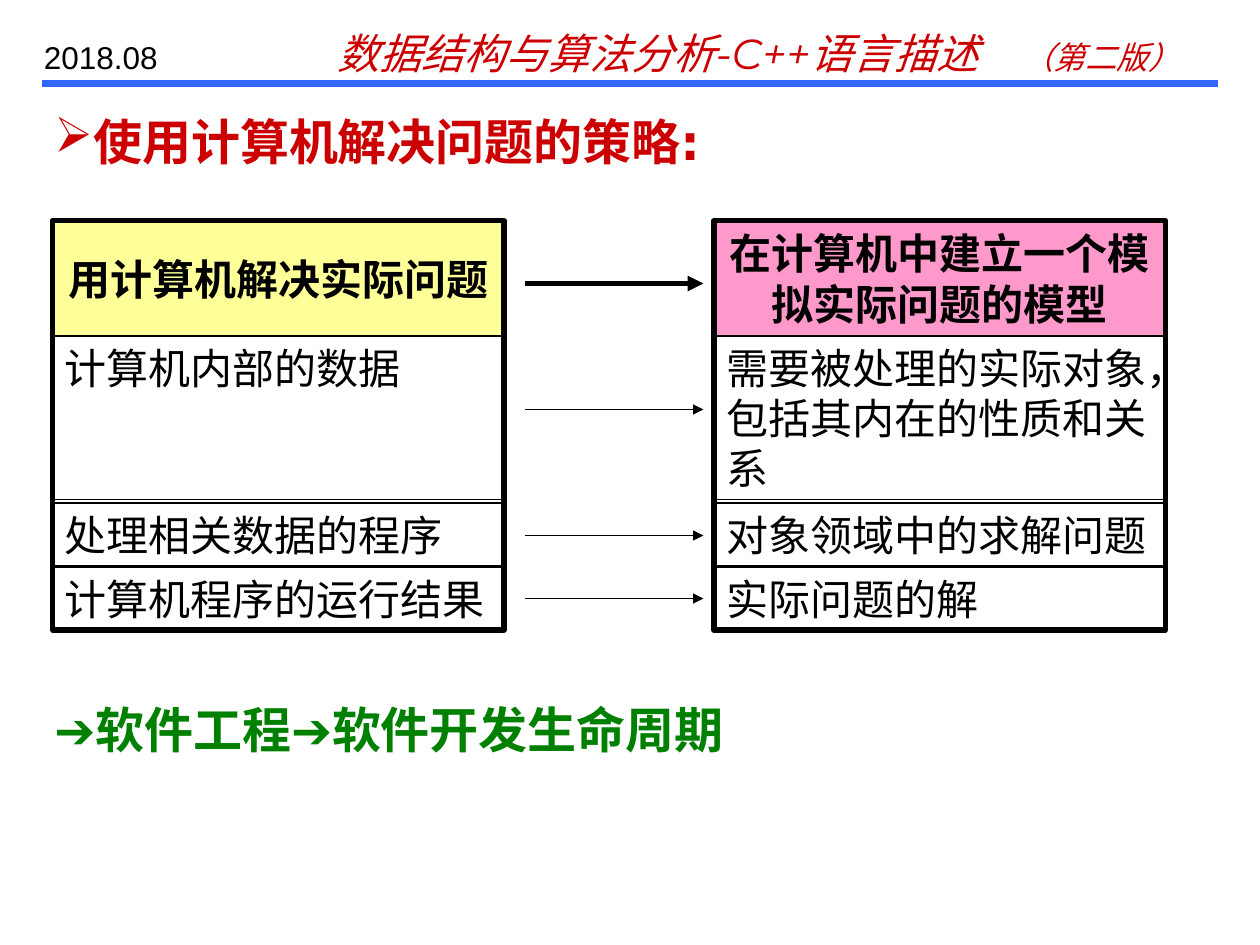
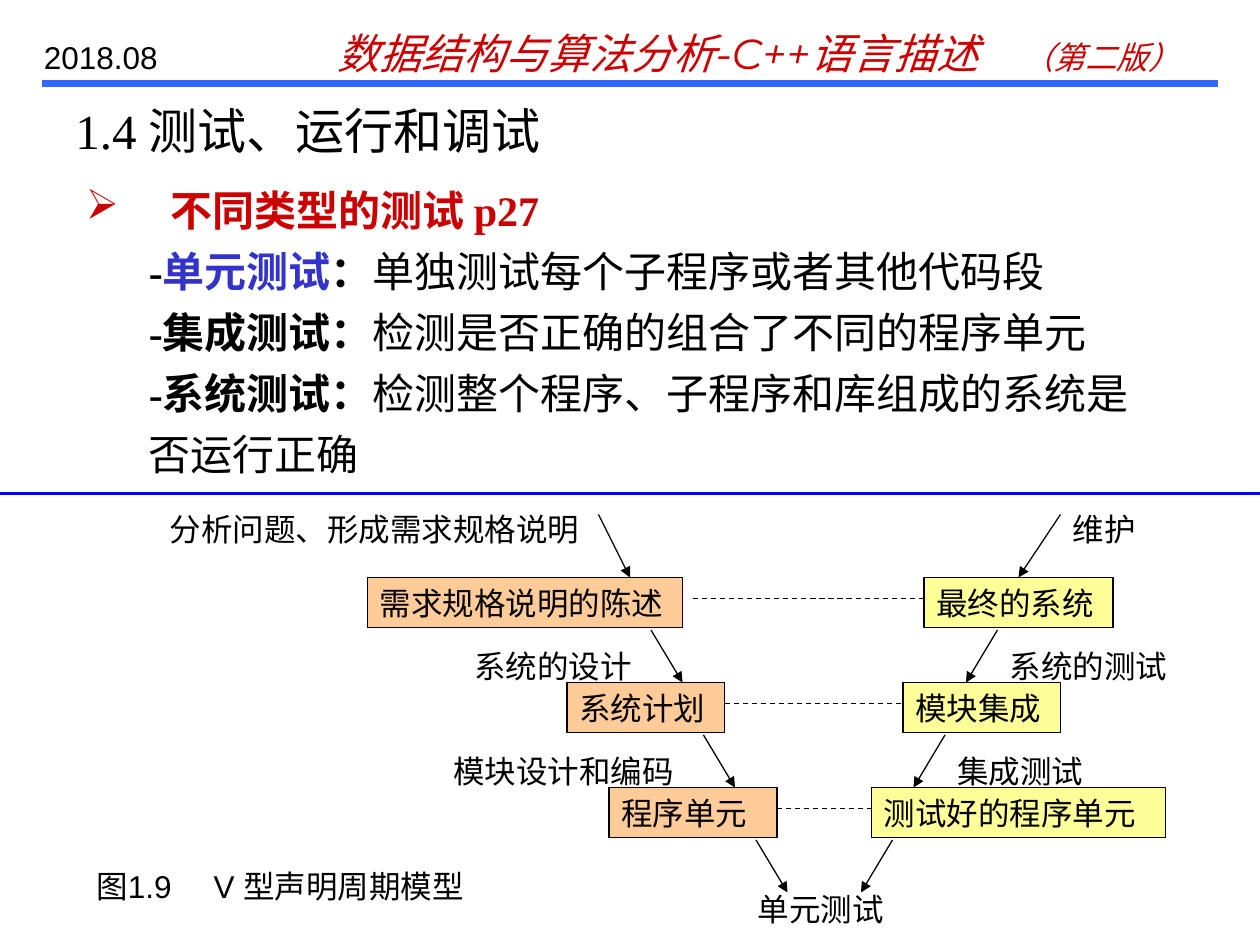
from lxml import etree
from pptx import Presentation
from pptx.dml.color import RGBColor
from pptx.enum.dml import MSO_LINE
from pptx.enum.shapes import MSO_CONNECTOR, MSO_SHAPE
from pptx.enum.text import MSO_ANCHOR, PP_ALIGN
from pptx.oxml.ns import qn
from pptx.util import Inches, Pt

STRAIGHT = MSO_CONNECTOR.STRAIGHT
RECTANGLE = MSO_SHAPE.RECTANGLE
DASH = MSO_LINE.DASH
TOP, MIDDLE = MSO_ANCHOR.TOP, MSO_ANCHOR.MIDDLE
LEFT, CENTER = PP_ALIGN.LEFT, PP_ALIGN.CENTER

COLORS = {
    "black": "000000", "red": "CC0000", "green": "008000", "term": "3333CC",
    "band": "3366FF", "divider": "0000FF", "yellow": "FFFF99",
    "pink": "FF99CC", "orange": "FFCC99",
}
SANS, SERIF, HEADING, COURSE = "Arial", "Times New Roman", "DejaVu Sans", "Montserrat"
UNIT = Inches(1) / 12
COLUMNS, ROWS = 120, 90
LABEL_HEIGHT = 4.8

DATE = "2018.08"
COURSE_TITLE, EDITION = "数据结构与算法分析-C++语言描述", "（第二版）"

STRATEGY_TITLE = "使用计算机解决问题的策略:"
STRATEGY_COLUMNS = [
    (5, "yellow", ["用计算机解决实际问题", "计算机内部的数据",
                   "处理相关数据的程序", "计算机程序的运行结果"]),
    (68, "pink", ["在计算机中建立一个模拟实际问题的模型",
                  "需要被处理的实际对象，包括其内在的性质和关系",
                  "对象领域中的求解问题", "实际问题的解"]),
]
STRATEGY_WIDTH = 43
STRATEGY_ROWS = [(21, 11), (32, 15.6), (47.9, 6), (54, 6)]
STRATEGY_ARROW_ROWS = [27, 39, 51, 57]
LIFECYCLE = [("➔", SANS), ("软件工程", HEADING), ("➔", SANS), ("软件开发生命周期", HEADING)]

SECTION_TITLE = "1.4 测试、运行和调试"
TESTS_TITLE = "不同类型的测试 p27"
TESTS = [
    [("-", "black", True), ("单元测试", "term", True), ("：", "black", True),
     ("单独测试每个子程序或者其他代码段", "black", False)],
    [("-集成测试：", "black", True), ("检测是否正确的组合了不同的程序单元", "black", False)],
    [("-系统测试：", "black", True), ("检测整个程序、子程序和库组成的系统是", "black", False)],
    [("否运行正确", "black", False)],
]
STAGE_TOP, STAGE_STEP = 55, 10
STAGES = [
    (("需求规格说明的陈述", 35, 30), ("最终的系统", 88, 18), 66),
    (("系统计划", 54, 15), ("模块集成", 86, 15), 69),
    (("程序单元", 58, 16), ("测试好的程序单元", 83, 28), 74),
]
STAGE_LABELS = [
    ("分析问题、形成需求规格说明", 15, 48, 43), ("系统的设计", 44, 61, 19),
    ("模块设计和编码", 42, 71, 26), ("维护", 101, 48, 10),
    ("系统的测试", 95, 61, 19), ("集成测试", 90, 71, 19), ("单元测试", 71, 84.2, 19),
]
ENTRY_ARROWS = [(57, 49, 60, 55), (101, 49, 97, 55)]
FIGURE_CAPTION = "图1.9\tV 型声明周期模型"


def grid(*values):
    return [round(value * UNIT) for value in values]


def rgb(name):
    return RGBColor.from_string(COLORS[name])


def style(font, size, name=SANS, color="black", bold=False, italic=False):
    font.size, font.name, font.bold, font.italic = Pt(size), name, bold, italic
    font.color.rgb = rgb(color)


def add_run(paragraph, text):
    run = paragraph.add_run()
    run.text = text
    return run


def set_tab(paragraph, position):
    tabs = etree.Element(qn("a:tabLst"))
    etree.SubElement(tabs, qn("a:tab"), pos=str(Inches(position)), algn="l")
    paragraph._p.get_or_add_pPr().insert_element_before(tabs, "a:defRPr", "a:extLst")


def set_bullet(paragraph, color):
    properties = paragraph._p.get_or_add_pPr()
    bullet_color = etree.Element(qn("a:buClr"))
    etree.SubElement(bullet_color, qn("a:srgbClr"), val=COLORS[color])
    for element in (bullet_color, etree.Element(qn("a:buChar"), char="➢")):
        properties.insert_element_before(element, "a:tabLst", "a:defRPr", "a:extLst")


def set_indent(paragraph, margin, first_line):
    properties = paragraph._p.get_or_add_pPr()
    properties.set("marL", str(Inches(margin)))
    properties.set("indent", str(Inches(first_line)))


def add_text(slide, box, text="", size=18, **font):
    frame = slide.shapes.add_textbox(*grid(*box)).text_frame
    frame.word_wrap = True
    paragraph = frame.paragraphs[0]
    style(paragraph.font, size, **font)
    if text:
        add_run(paragraph, text)
    return paragraph


def add_box(slide, box, fill=None, width=0.75, text="", size=18, bold=False, header=False):
    shape = slide.shapes.add_shape(RECTANGLE, *grid(*box))
    shape.shadow.inherit = False
    if fill:
        shape.fill.solid()
        shape.fill.fore_color.rgb = rgb(fill)
    else:
        shape.fill.background()
    shape.line.color.rgb = rgb("black")
    shape.line.width = Pt(width)
    if text:
        frame = shape.text_frame
        frame.word_wrap = True
        frame.vertical_anchor = MIDDLE if header else TOP
        paragraph = frame.paragraphs[0]
        paragraph.alignment = CENTER if header else LEFT
        style(paragraph.font, size, bold=bold)
        add_run(paragraph, text)


def add_line(slide, ends, color="black", width=0.75, arrow=False, dashed=False):
    connector = slide.shapes.add_connector(STRAIGHT, *grid(*ends))
    connector.line.color.rgb = rgb(color)
    connector.line.width = Pt(width)
    if dashed:
        connector.line.dash_style = DASH
    if arrow:
        etree.SubElement(connector.line._get_or_add_ln(), qn("a:tailEnd"), type="triangle")
    etree.SubElement(connector._element.spPr, qn("a:effectLst"))


def add_page(presentation):
    slide = presentation.slides.add_slide(presentation.slide_layouts[6])
    add_line(slide, (4, 8, COLUMNS - 4, 8), "band", 4)
    course = add_text(slide, (31, 2, 84, 6), COURSE_TITLE, 24,
                      name=COURSE, color="red", italic=True)
    set_tab(course, 5.43)
    add_run(course, "\t" + EDITION).font.size = Pt(18)
    add_text(slide, (3, 3, 17, LABEL_HEIGHT), DATE)
    return slide


def build_strategy(presentation):
    slide = add_page(presentation)
    title = add_text(slide, (4, 10, 116, 6.8), STRATEGY_TITLE, 28,
                     name=HEADING, color="red", bold=True)
    set_bullet(title, "red")
    for left, fill, texts in STRATEGY_COLUMNS:
        for index, (text, (top, height)) in enumerate(zip(texts, STRATEGY_ROWS)):
            header = index == 0
            add_box(slide, (left, top, STRATEGY_WIDTH, height), fill if header else None,
                    text=text, size=24, bold=header, header=header)
        add_box(slide, (left, 21, STRATEGY_WIDTH, 39), width=3)
    for index, row in enumerate(STRATEGY_ARROW_ROWS):
        add_line(slide, (50, row, 67, row), width=0.75 if index else 3, arrow=True)
    lifecycle = add_text(slide, (4, 66, 75, 6.8), size=28, color="green", bold=True)
    for text, name in LIFECYCLE:
        add_run(lifecycle, text).font.name = name


def build_testing(presentation):
    slide = add_page(presentation)
    add_text(slide, (6, 9, 108, 8), SECTION_TITLE, 28, name=SERIF)
    heading = add_text(slide, (7, 17, 104, 31), TESTS_TITLE, 24,
                       name=SERIF, color="red", bold=True)
    set_indent(heading, 0.67, -0.67)
    set_bullet(heading, "red")
    for runs in TESTS:
        paragraph = heading._parent.add_paragraph()
        set_indent(paragraph, 1.08, -0.58)
        paragraph.space_before = Pt(6)
        style(paragraph.font, 24, SERIF)
        for text, color, bold in runs:
            font = add_run(paragraph, text).font
            font.bold, font.color.rgb = bold, rgb(color)
    for text, left, top, width in STAGE_LABELS:
        add_text(slide, (left, top, width, LABEL_HEIGHT), text)
    for ends in ENTRY_ARROWS:
        add_line(slide, ends, arrow=True)
    for index, (plan, result, dash_start) in enumerate(STAGES):
        top = STAGE_TOP + index * STAGE_STEP
        for (text, left, width), fill in ((plan, "orange"), (result, "yellow")):
            add_box(slide, (left, top, width, LABEL_HEIGHT), fill, text=text)
        add_line(slide, (dash_start, top + 2, result[1], top + 2), dashed=True)
        for start, run in ((62 + 5 * index, 3), (95 - 5 * index, -3)):
            add_line(slide, (start, top + 5, start + run, top + 10), arrow=True)
    set_tab(add_text(slide, (8, 82, 48, LABEL_HEIGHT), FIGURE_CAPTION), 0.93)
    add_line(slide, (0, 47, COLUMNS, 47), "divider", 2)


def main():
    """Build the strategy and testing slides."""
    presentation = Presentation()
    presentation.slide_width, presentation.slide_height = grid(COLUMNS, ROWS)
    build_strategy(presentation)
    build_testing(presentation)
    presentation.save("out.pptx")


if __name__ == "__main__":
    main()
